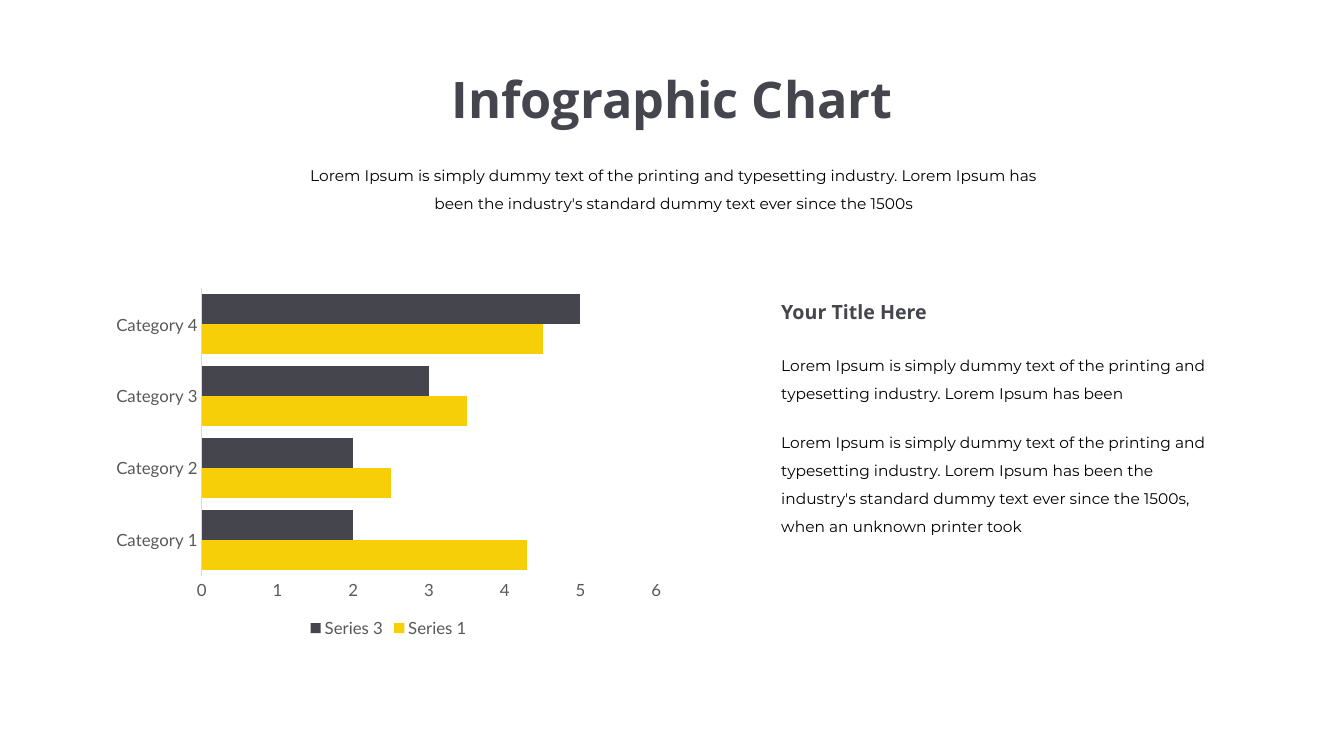
from dataclasses import dataclass

from pptx import Presentation
from pptx import util as u
from pptx.chart.data import CategoryChartData
from pptx.dml.color import RGBColor
from pptx.enum import chart as ch
from pptx.enum import text

DARK, YELLOW, BLACK, GREY, RULE = "45454D", "F6CF08", "000000", "595959", "D9D9D9"
LOREM = "Lorem Ipsum is simply dummy text of the printing and typesetting industry. Lorem Ipsum has been"
STANDARD = LOREM + " the industry's standard dummy text ever since the 1500s"

HEADING = {"name": "Open Sans", "bold": True}
BODY = {"name": "Montserrat", "size": u.Pt(11)}
LABEL = {"name": "Lato", "size": u.Pt(12)}


@dataclass
class TextBlock:
    words: str
    box: tuple[float, float, float, float]
    font: dict
    color: str = BLACK
    spacing: float = 1.0
    align: text.PP_ALIGN = text.PP_ALIGN.LEFT


@dataclass
class Series:
    name: str
    values: tuple[float, ...]
    color: str


BLOCKS = [
    TextBlock("Infographic Chart", (2.56, 0.63, 8.21, 0.71),
              HEADING | {"size": u.Pt(36)}, DARK, align=text.PP_ALIGN.CENTER),
    TextBlock(STANDARD, (2.91, 1.51, 7.55, 0.66), BODY,
              spacing=1.5, align=text.PP_ALIGN.CENTER),
    TextBlock("Your Title Here", (7.65, 2.93, 2.8, 0.34),
              HEADING | {"size": u.Pt(14)}, DARK),
    TextBlock(LOREM, (7.65, 3.39, 4.45, 0.66), BODY, spacing=1.5),
    TextBlock(STANDARD + ", when an unknown printer took",
              (7.65, 4.16, 4.49, 1.21), BODY, spacing=1.5),
]
SERIES = [
    Series("Series 1", (4.3, 2.5, 3.5, 4.5), YELLOW),
    Series("Series 3", (2, 2, 3, 5), DARK),
]


def rgb(value: str) -> RGBColor:
    return RGBColor.from_string(value)


def style_font(font, values: dict, color: str) -> None:
    for key, value in values.items():
        setattr(font, key, value)
    font.color.rgb = rgb(color)


def add_text(s, block: TextBlock) -> None:
    tf = s.shapes.add_textbox(*map(u.Inches, block.box)).text_frame
    tf.word_wrap = True
    p = tf.paragraphs[0]
    p.alignment, p.line_spacing = block.align, block.spacing
    r = p.add_run()
    r.text = block.words
    style_font(r.font, block.font, block.color)


def add_bar_chart(s, series: list[Series], box: tuple[float, ...]) -> None:
    data = CategoryChartData()
    data.categories = [f"Category {n}" for n in range(1, 5)]
    for item in series:
        data.add_series(item.name, item.values)
    chart = s.shapes.add_chart(ch.XL_CHART_TYPE.BAR_CLUSTERED,
                               *map(u.Inches, box), data).chart
    style_font(chart.font, LABEL | {"size": u.Pt(10)}, BLACK)
    chart.has_title = False

    # Bars
    plot = chart.plots[0]
    plot.gap_width, plot.overlap, plot.vary_by_categories = 40, 0, False
    for bars, item in zip(plot.series, series):
        bars.format.fill.solid()
        bars.format.fill.fore_color.rgb = rgb(item.color)

    # Axes
    for axis in (chart.category_axis, chart.value_axis):
        axis.has_major_gridlines = False
        axis.major_tick_mark = axis.minor_tick_mark = ch.XL_TICK_MARK.NONE
        style_font(axis.tick_labels.font, LABEL, GREY)
    line = chart.category_axis.format.line
    line.width, line.color.rgb = u.Pt(0.75), rgb(RULE)
    chart.value_axis.format.line.fill.background()

    # Legend
    chart.has_legend = True
    chart.legend.position = ch.XL_LEGEND_POSITION.BOTTOM
    chart.legend.include_in_layout = False
    style_font(chart.legend.font, LABEL, GREY)


def main() -> None:
    prs = Presentation()
    prs.slide_width, prs.slide_height = u.Inches(13.33), u.Inches(7.5)
    s = prs.slides.add_slide(prs.slide_layouts[6])
    add_bar_chart(s, SERIES, (1.04, 2.79, 5.63, 3.58))
    for block in BLOCKS:
        add_text(s, block)
    prs.save("out.pptx")


if __name__ == "__main__":
    main()
